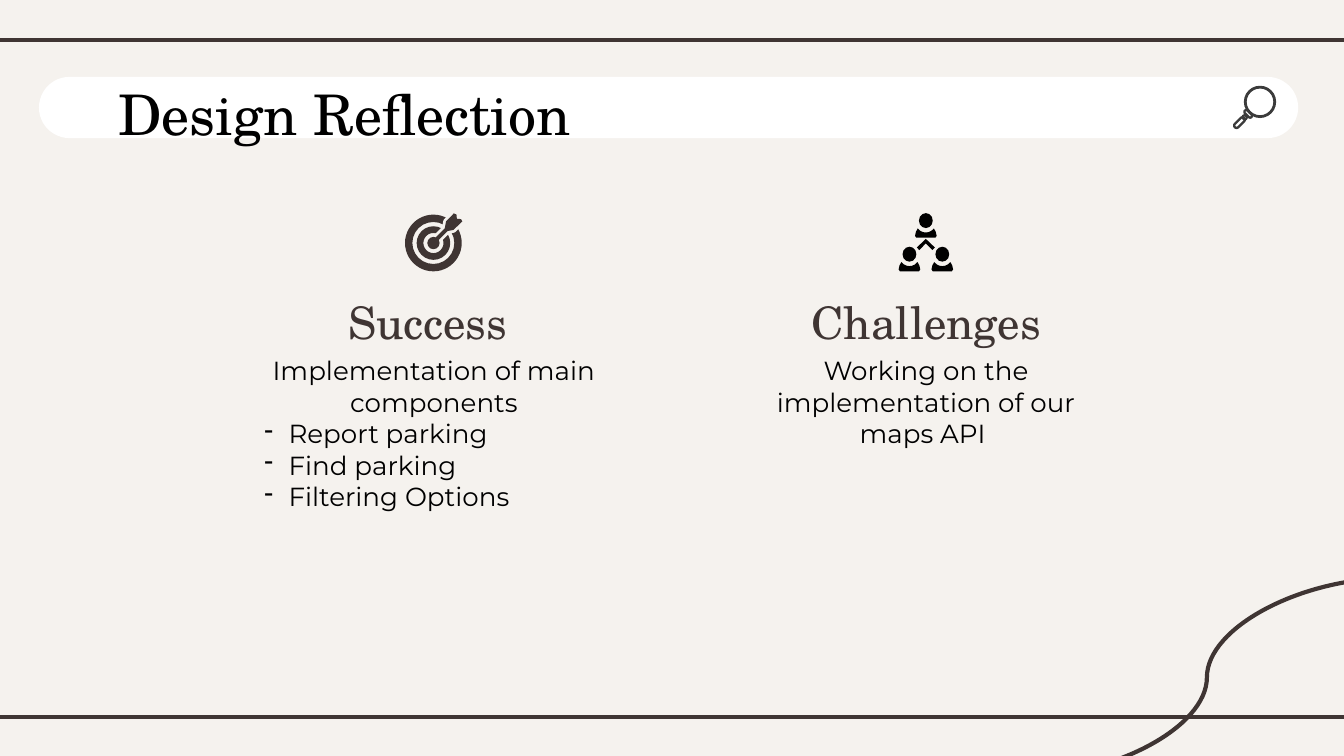
from lxml import etree
from pptx import Presentation
from pptx.dml.color import RGBColor
from pptx.enum.shapes import MSO_CONNECTOR as CONN, MSO_SHAPE as SHAPE
from pptx.enum.text import PP_ALIGN as ALIGN
from pptx.oxml.ns import qn
from pptx.util import Pt

CREAM = RGBColor(0xF5, 0xF2, 0xEE)
BROWN = RGBColor(0x3F, 0x35, 0x33)
GRAY = RGBColor(0x3B, 0x3B, 0x3B)
WHITE = RGBColor(0xFF, 0xFF, 0xFF)
BLACK = RGBColor(0, 0, 0)
SERIF, SANS = "TeX Gyre Schola", "Montserrat"

prs = Presentation()
prs.slide_width, prs.slide_height = Pt(720), Pt(405)
s = prs.slides.add_slide(prs.slide_layouts[6])
s.background.fill.solid()
s.background.fill.fore_color.rgb = CREAM


def paint(sp, fill=None, line=None, width=1.5):
    sp.shadow.inherit = False
    for part, color in ((sp.fill, fill), (sp.line.fill, line)):
        if color is None:
            part.background()
        else:
            part.solid()
            part.fore_color.rgb = color
    if line is not None:
        sp.line.width = Pt(width)
    return sp


def add_text(x, y, w, h, lines, font, size, color, align=None):
    tf = s.shapes.add_textbox(Pt(x), Pt(y), Pt(w), Pt(h)).text_frame
    tf.word_wrap = True
    tf.margin_left = tf.margin_right = tf.margin_top = tf.margin_bottom = Pt(7.2)
    for i, text in enumerate(lines):
        p = tf.paragraphs[0] if i == 0 else tf.add_paragraph()
        if i == 0:
            p.alignment = align
        else:
            pPr = p._p.get_or_add_pPr()
            pPr.set("marL", str(Pt(12.9)))
            pPr.set("indent", str(-Pt(12.9)))
            etree.SubElement(pPr, qn("a:buChar")).set("char", "-")
        r = p.add_run()
        r.text = text
        r.font.name, r.font.size, r.font.color.rgb = font, Pt(size), color


for kind, x1, y1, x2, y2 in (
    (CONN.STRAIGHT, -6, 21.5, 726, 21.5),
    (CONN.STRAIGHT, -6, 384, 726, 384),
    (CONN.CURVE, 746.8, 309.6, 546.4, 416.2),
):
    cxn = s.shapes.add_connector(kind, Pt(x1), Pt(y1), Pt(x2), Pt(y2))
    cxn.line.color.rgb = BROWN
    cxn.line.width = Pt(2.25)
    etree.SubElement(cxn._element.spPr, qn("a:effectLst"))

bar = s.shapes.add_shape(SHAPE.ROUNDED_RECTANGLE, Pt(20.9), Pt(41.2), Pt(674.6), Pt(32.8))
bar.adjustments[0] = 0.5
paint(bar, WHITE)

lens = s.shapes.add_shape(SHAPE.OVAL, Pt(667.1), Pt(46.7), Pt(15.8), Pt(15.8))
paint(lens, None, GRAY)
for cx, cy, w, h in ((664, 65.7, 7, 2.6), (666.8, 62.9, 2, 2.2), (668.7, 61, 2, 5)):
    grip = s.shapes.add_shape(SHAPE.ROUNDED_RECTANGLE, Pt(cx - w / 2), Pt(cy - h / 2), Pt(w), Pt(h))
    grip.adjustments[0] = 0.5
    grip.rotation = -45
    paint(grip, None, GRAY, 1.25)

add_text(56.2, 35.3, 498.2, 45.4, ["Design Reflection"], SERIF, 30, BLACK)
columns = (
    (134.6, 118.8, "Success ",
     ["Implementation of main components", "Report parking", "Find parking", "Filtering Options"]),
    (398.2, 71.3, "Challenges", ["Working on the implementation of our maps API "]),
)
for x, h, heading, body in columns:
    add_text(x, 150.5, 195.8, 39.6, [heading], SERIF, 24, BROWN, ALIGN.CENTER)
    add_text(x, 182.9, 195.8, h, body, SANS, 14, BLACK, ALIGN.CENTER)

for d, ring in ((30.4, 0.13), (18, 0.2)):
    donut = s.shapes.add_shape(SHAPE.DONUT, Pt(232.2 - d / 2), Pt(130.2 - d / 2), Pt(d), Pt(d))
    donut.adjustments[0] = ring
    paint(donut, BROWN)

arrow = [(243.2, 114.3), (239, 118.6), (238.3, 122.4), (233.3, 127.4), (234.8, 128.9), (239.8, 123.8),
         (243, 123.2), (247.7, 118.6), (247, 117.4), (244.8, 117.2), (244.6, 115)]
chevron = [(496, 128), (500.8, 132.6), (499.5, 134), (496, 130.4), (492.5, 134), (491.2, 132.6)]
torso = [(-4.3, 0), (-3, 1.3), (-1.5, 2), (0, 2.2), (1.5, 2), (3, 1.3), (4.3, 0),
         (5.3, 1.8), (5.8, 4), (5.1, 5), (-5.1, 5), (-5.8, 4), (-5.3, 1.8)]
people = ((496, 114.2), (487.2, 132.2), (504.8, 132.2))
outlines = [(arrow, CREAM, CREAM), (arrow, BROWN, None), (chevron, BLACK, None)]
outlines += [([(cx + x, top + 8.2 + y) for x, y in torso], BLACK, None) for cx, top in people]
for points, fill, line in outlines:
    pts = [(Pt(x), Pt(y)) for x, y in points]
    builder = s.shapes.build_freeform(*pts[0], scale=1.0)
    builder.add_line_segments(pts[1:], close=True)
    paint(builder.convert_to_shape(), fill, line, 3)

dots = [(228.9, 126.9, 6.6, 6.6, BROWN)] + [(cx - 3.7, top, 7.4, 8, BLACK) for cx, top in people]
for x, y, w, h, color in dots:
    paint(s.shapes.add_shape(SHAPE.OVAL, Pt(x), Pt(y), Pt(w), Pt(h)), color)

prs.save("out.pptx")
